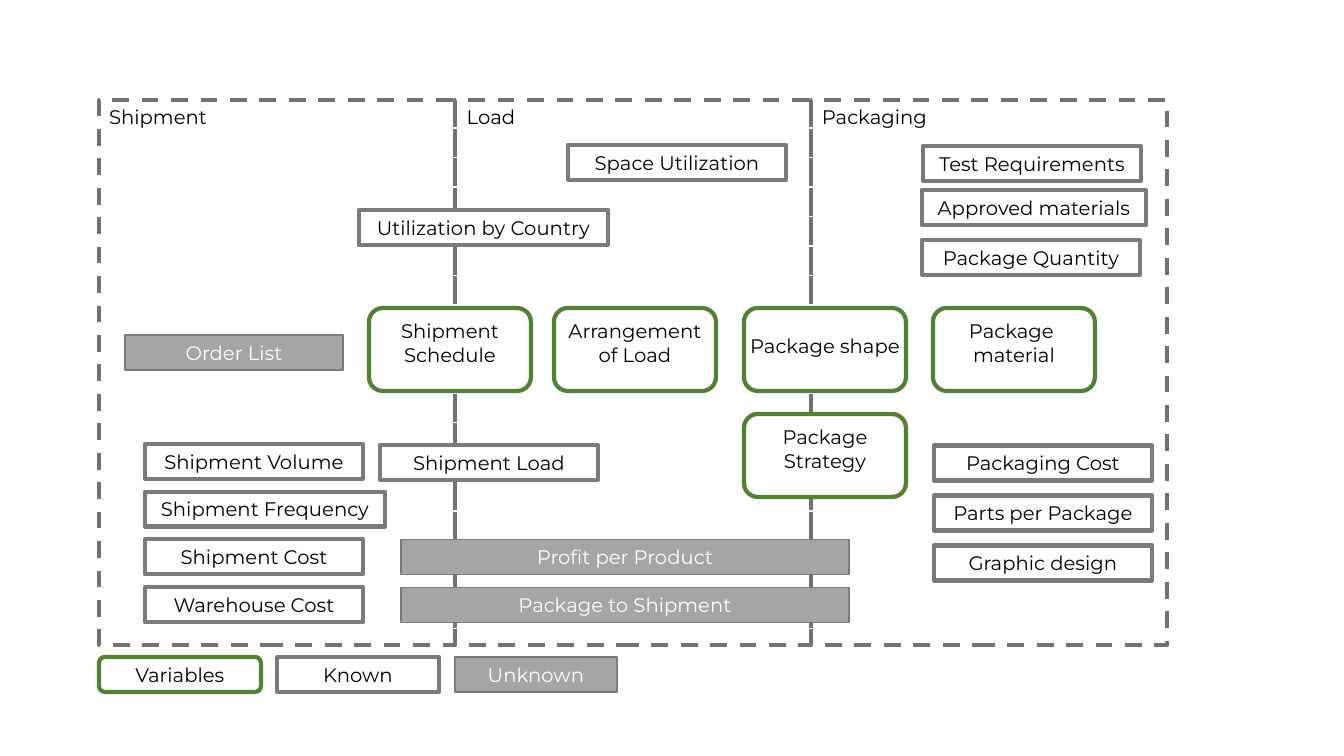
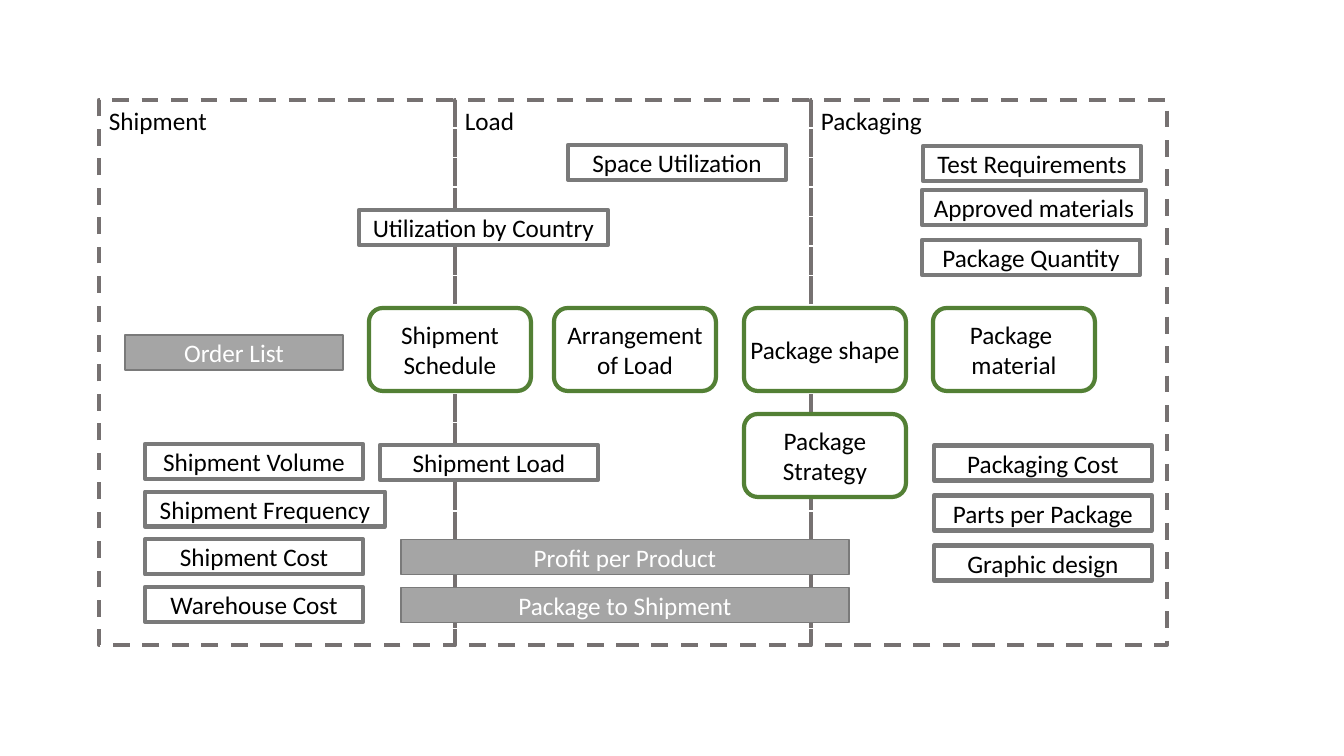
from dataclasses import dataclass

from pptx import Presentation
from pptx.dml.color import RGBColor
from pptx.enum.dml import MSO_LINE
from pptx.enum.shapes import MSO_SHAPE as SHAPE
from pptx.enum.text import MSO_ANCHOR as ANCHOR, MSO_AUTO_SIZE as AUTO, PP_ALIGN as ALIGN
from pptx.util import Emu, Pt

PX = 914400 / 100.8
COLORS = {
    "white": "FFFFFF", "black": "000000", "frame": "767171",
    "grey line": "7A7A7A", "grey fill": "A5A5A5", "green": "538035",
}
# kind: outline shape, fill, line colour, line width, text colour
KINDS = {
    "variable": (SHAPE.ROUNDED_RECTANGLE, "white", "green", 3, "black"),
    "open variable": (SHAPE.ROUNDED_RECTANGLE, None, "green", 3, "black"),
    "known": (SHAPE.RECTANGLE, "white", "grey line", 3, "black"),
    "unknown": (SHAPE.RECTANGLE, "grey fill", "grey line", 1, "white"),
    "frame": (SHAPE.RECTANGLE, None, "frame", 3, "black"),
}
LEFT, TOP, STAGE_W, STAGE_H = 99, 100, 356, 545
BOX_W, BOX_H = 218, 35
CARD_W, CARD_H = 162, 83
BAR_W = 448


@dataclass
class Look:
    """Typography of one version of the diagram."""
    font: str
    size: int
    anchor: ANCHOR
    label_align: ALIGN
    line_heights: tuple  # text box height for one and two lines
    widths: dict  # text box width for each free text


MONTSERRAT = Look("Montserrat", 14, ANCHOR.MIDDLE, ALIGN.CENTER, (34, 57), {
    "Shipment": 118, "Load": 72, "Packaging": 127, "Package shape": 174,
    "Package \nmaterial": 114, "Arrangement\nof Load": 156,
    "Shipment\nSchedule": 118, "Package\nStrategy": 109})
CALIBRI = Look("Calibri", 18, ANCHOR.TOP, ALIGN.LEFT, (40, 72), {
    "Shipment": 119, "Load": 71, "Packaging": 122, "Package shape": 171,
    "Package \nmaterial": 110, "Arrangement\nof Load": 157,
    "Shipment\nSchedule": 119, "Package\nStrategy": 105})

STAGES = ["Shipment", "Load", "Packaging"]
# text, left, top, kind
CARDS = [
    ("Package shape", 744, 308, "variable"),
    ("Package \nmaterial", 933, 308, "open variable"),
    ("Arrangement\nof Load", 554, 308, "open variable"),
    ("Shipment\nSchedule", 369, 308, "variable"),
    ("Package\nStrategy", 744, 414, "variable"),
]
# text, left, top, width
KNOWN = [
    ("Test Requirements", 923, 146, BOX_W),
    ("Approved materials", 922, 190, 224),
    ("Package Quantity", 922, 240, BOX_W),
    ("Space Utilization", 568, 145, BOX_W),
    ("Utilization by Country", 359, 210, 249),
    ("Shipment Load", 380, 445, BOX_W),
]
# left, top, step, rows of text and width
COLUMNS = [
    (145, 444, 47.67, [("Shipment Volume", BOX_W), ("Shipment Frequency", 240),
                       ("Shipment Cost", BOX_W), ("Warehouse Cost", BOX_W)]),
    (934, 445.5, 50, [("Packaging Cost", BOX_W), ("Parts per Package", BOX_W),
                      ("Graphic design", BOX_W)]),
]
UNKNOWN = [
    ("Order List", 125, 335, BOX_W),
    ("Profit per Product", 401, 539.5, BAR_W),
    ("Package to Shipment", 401, 587.5, BAR_W),
]
LEGEND = [("Variables", "variable"), ("Known", "known"), ("Unknown", "unknown")]


def emu(*pixels):
    """Turn pixel lengths into EMU."""
    return [Emu(round(p * PX)) for p in pixels]


def rgb(name):
    """Look up a named colour."""
    return RGBColor.from_string(COLORS[name])


def write(tf, text, look, color, align):
    """Fill a text frame, one paragraph for each line."""
    tf.text = text
    for p in tf.paragraphs:
        p.alignment = align
        p.font.name = look.font
        p.font.size = Pt(look.size)
        p.font.color.rgb = rgb(color)


def add_box(s, kind, x, y, w, h, text="", look=None):
    """Add an outlined box of one kind, with centred text if given."""
    shape, fill, line, width, color = KINDS[kind]
    sp = s.shapes.add_shape(shape, *emu(x, y, w, h))
    sp.shadow.inherit = False
    if fill:
        sp.fill.solid()
        sp.fill.fore_color.rgb = rgb(fill)
    else:
        sp.fill.background()
    sp.line.color.rgb = rgb(line)
    sp.line.width = Pt(width)
    if text:
        sp.text_frame.vertical_anchor = ANCHOR.MIDDLE
        write(sp.text_frame, text, look, color, ALIGN.CENTER)
    return sp


def add_text(s, text, x, y, look, align):
    """Add an unwrapped text box sized for its text."""
    height = look.line_heights[text.count("\n")]
    tf = s.shapes.add_textbox(*emu(x, y, look.widths[text], height)).text_frame
    tf.word_wrap = False
    tf.auto_size = AUTO.SHAPE_TO_FIT_TEXT
    tf.vertical_anchor = look.anchor
    write(tf, text, look, "black", align)


def add_stages(s, look):
    """Add the dashed stage frames and their labels."""
    lefts = [LEFT + i * STAGE_W for i in range(len(STAGES))]
    for x in lefts:
        frame = add_box(s, "frame", x, TOP, STAGE_W, STAGE_H)
        frame.line.dash_style = MSO_LINE.DASH
    for x, name in zip(lefts, STAGES):
        add_text(s, name, x, TOP, look, look.label_align)


def add_card(s, text, x, y, kind, look):
    """Add a rounded variable card with its centred caption."""
    add_box(s, kind, x, y, CARD_W, CARD_H)
    inset = 6 if "\n" in text else 21
    caption_x = x + (CARD_W - look.widths[text]) / 2
    add_text(s, text, caption_x, y + inset, look, ALIGN.CENTER)


def add_diagram(s, look):
    """Add the whole planning diagram."""
    add_stages(s, look)
    for text, x, y, kind in CARDS:
        add_card(s, text, x, y, kind, look)
    for text, x, y, w in KNOWN:
        add_box(s, "known", x, y, w, BOX_H, text, look)
    for x, top, step, rows in COLUMNS:
        for i, (text, w) in enumerate(rows):
            add_box(s, "known", x, top + i * step, w, BOX_H, text, look)
    for text, x, y, w in UNKNOWN:
        add_box(s, "unknown", x, y, w, BOX_H, text, look)


def add_legend(s, look):
    """Add the key to the three kinds of box."""
    for i, (text, kind) in enumerate(LEGEND):
        add_box(s, kind, LEFT + i * STAGE_W / 2, 657, CARD_W, BOX_H, text, look)


def main():
    """Build both versions of the diagram and save them."""
    prs = Presentation()
    prs.slide_width, prs.slide_height = emu(1344, 756)
    blank = prs.slide_layouts[6]
    s = prs.slides.add_slide(blank)
    add_diagram(s, MONTSERRAT)
    add_legend(s, MONTSERRAT)
    add_diagram(prs.slides.add_slide(blank), CALIBRI)
    prs.save("out.pptx")


main()
